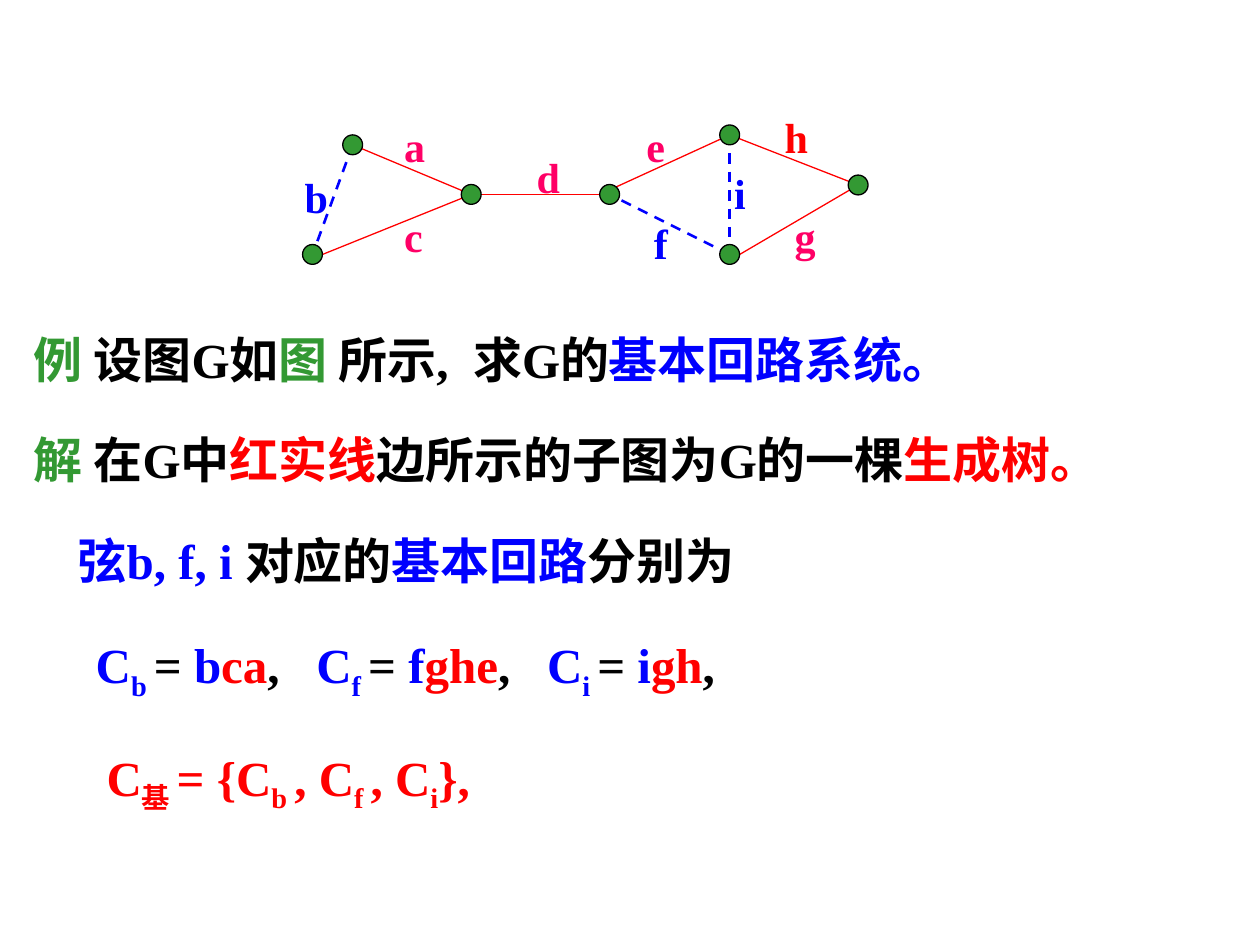
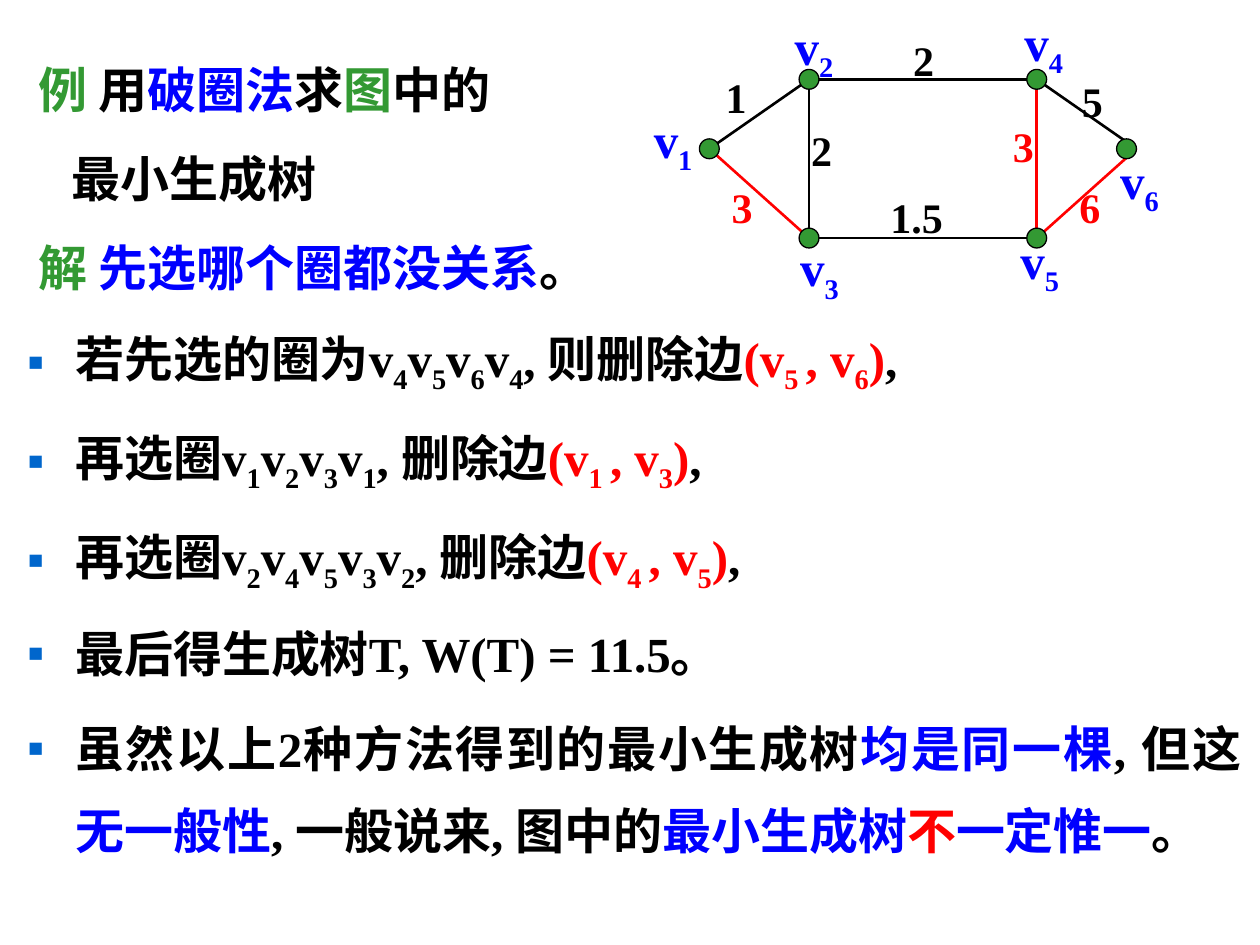
import pptx
import pptx.dml.color
import pptx.enum.dml
import pptx.enum.shapes
import pptx.enum.text
import pptx.oxml.ns
import pptx.util
from lxml import etree
from pptx.util import Cm

BLACK, RED, BLUE, GREEN, PINK = "000000", "FF0000", "0000FF", "339933", "FF0066"
BULLET_BLUE = "0066CC"
LATIN_FONT, CHINESE_FONT = "Times New Roman", "Noto Sans CJK SC"
BODY_SIZE, LABEL_SIZE = 28, 24
NODE_RADIUS = 0.2
HANGING = 0.97
LEAD_INDENT = 0.23


def colour(hex_string):
    return pptx.dml.color.RGBColor.from_string(hex_string)


def add_xml(parent, tag, **attributes):
    return etree.SubElement(parent, pptx.oxml.ns.qn(tag), attributes)


class GraphDeck:
    def __init__(self):
        self.deck = pptx.Presentation()
        self.deck.slide_width, self.deck.slide_height = Cm(25.4), Cm(19.05)
        self.page = None

    def add_page(self):
        self.page = self.deck.slides.add_slide(self.deck.slide_layouts[6])

    def text_box(self, left, top, width, height, wrap=True):
        box = self.page.shapes.add_textbox(Cm(left), Cm(top), Cm(width), Cm(height))
        box.text_frame.word_wrap = wrap
        return box.text_frame

    def fill_para(self, para, spans, size):
        """Write (text, colour[, letter spacing in points]); a pair of ~ encloses a subscript."""
        font = para.font
        font.size, font.bold, font.name = pptx.util.Pt(size), True, LATIN_FONT
        add_xml(font._element, "a:ea", typeface=CHINESE_FONT)
        for text, span_colour, *spacing in spans:
            for index, piece in enumerate(text.split("~")):
                if not piece:
                    continue
                span = para.add_run()
                span.text = piece
                span.font.color.rgb = colour(span_colour)
                properties = span._r.get_or_add_rPr()
                if index % 2:
                    properties.set("baseline", "-25000")
                if spacing:
                    properties.set("spc", str(int(spacing[0] * 100)))

    def body(self, left, top, width, height, paras, spacing, justify=False):
        """Write paragraphs given as (first-line indent or None for a bullet, spans)."""
        frame = self.text_box(left, top, width, height)
        for index, (indent, spans) in enumerate(paras):
            para = frame.paragraphs[0] if index == 0 else frame.add_paragraph()
            para.line_spacing = spacing
            if index:
                para.space_before = pptx.util.Pt(7)
            if justify:
                para.alignment = pptx.enum.text.PP_ALIGN.JUSTIFY
            properties = para._p.get_or_add_pPr()
            bulleted = indent is None
            properties.set("marL", str(Cm(HANGING if bulleted else 0)))
            properties.set("indent", str(Cm(-HANGING if bulleted else indent)))
            if bulleted:
                bullet_colour = add_xml(properties, "a:buClr")
                add_xml(bullet_colour, "a:srgbClr", val=BULLET_BLUE)
                add_xml(properties, "a:buFont", typeface=LATIN_FONT)
                add_xml(properties, "a:buChar", char="▪")
            self.fill_para(para, spans, BODY_SIZE)
        return frame

    def label(self, text, left, top, width, text_colour, size=LABEL_SIZE):
        height = 1.27 if size == LABEL_SIZE else 1.6
        frame = self.text_box(left, top, width, height, wrap=False)
        self.fill_para(frame.paragraphs[0], [(text, text_colour)], size)

    def edge(self, start, end, line_colour, width, dashed=False):
        line = self.page.shapes.add_connector(
            pptx.enum.shapes.MSO_CONNECTOR.STRAIGHT, *map(Cm, start + end))
        line.line.color.rgb = colour(line_colour)
        line.line.width = pptx.util.Pt(width)
        if dashed:
            line.line.dash_style = pptx.enum.dml.MSO_LINE.DASH
        add_xml(line._element.spPr, "a:effectLst")

    def node(self, x, y):
        dot = self.page.shapes.add_shape(
            pptx.enum.shapes.MSO_SHAPE.OVAL, Cm(x - NODE_RADIUS), Cm(y - NODE_RADIUS),
            Cm(2 * NODE_RADIUS), Cm(2 * NODE_RADIUS))
        dot.shadow.inherit = False
        dot.fill.solid()
        dot.fill.fore_color.rgb = colour(GREEN)
        dot.line.color.rgb = colour(BLACK)
        dot.line.width = pptx.util.Pt(0.75)

    def graph(self, nodes, edges):
        """Draw edges under nodes; an end name with < or > meets the left or right rim."""
        def point(name):
            x, y = nodes[name.rstrip("<>")]
            return x + NODE_RADIUS * (name.endswith(">") - name.endswith("<")), y

        for start, end, *style in edges:
            self.edge(point(start), point(end), *style)
        for x, y in nodes.values():
            self.node(x, y)


def add_circuit_page(slides):
    slides.add_page()
    wide_comma = (", ", BLACK, 7)
    slides.body(0.2, 5.92, 24.9, 12.8, [
        (LEAD_INDENT, [("例 ", GREEN), ("设图G如", BLACK), ("图 ", GREEN), ("所示", BLACK),
                       (", ", BLACK, 3.5), ("求G的", BLACK), ("基本回路系统。", BLUE)]),
        (LEAD_INDENT, [("解 ", GREEN), ("在G中", BLACK), ("红实线", RED),
                       ("边所示的子图为G的一棵", BLACK), ("生成树。", RED)]),
        (1.12, [("弦b, f, i ", BLUE), ("对应的", BLACK), ("基本回路", BLUE),
                ("分别为", BLACK)]),
        (1.48, [("C~b ~", BLUE), ("= ", BLACK), ("b", BLUE), ("ca", RED), wide_comma,
                ("C~f ~", BLUE), ("= ", BLACK), ("f", BLUE), ("ghe", RED), wide_comma,
                ("C~i ~", BLUE), ("= ", BLACK), ("i", BLUE), ("gh", RED), (",", BLACK)]),
        (1.7, [("C~基 ~= {C~b ~, C~f ~, C~i~},", RED)]),
    ], spacing=1.5)

    tree, chord = (RED, 0.75), (BLUE, 1.5, True)
    slides.graph(
        {"top left": (7.11, 2.92), "bottom left": (6.3, 5.13), "bridge start": (9.5, 3.92),
         "bridge end": (12.29, 3.92), "top": (14.71, 2.72), "bottom": (14.71, 5.13),
         "right": (17.3, 3.73)},
        [("top left", "bridge start", *tree),
         ("bridge start", "bottom left>", *tree),
         ("top left", "bottom left", *chord),
         ("bridge start", "bridge end<", *tree),
         ("bridge end<", "top", *tree),
         ("top", "right", *tree),
         ("right", "bottom>", *tree),
         ("bottom", "bridge end", *chord),
         ("top", "bottom", *chord)])
    for name, left, top, text_colour in [
            ("f", 12.93, 4.27, BLUE), ("i", 14.55, 3.25, BLUE), ("b", 5.89, 3.33, BLUE),
            ("a", 7.9, 2.31, PINK), ("d", 10.57, 2.92, PINK), ("c", 7.9, 4.11, PINK),
            ("e", 12.78, 2.31, PINK), ("h", 15.57, 2.13, RED), ("g", 15.77, 4.11, PINK)]:
        slides.label(name, left, top, 1, text_colour)


def add_spanning_tree_page(slides):
    def removal(circuit_lead, circuit, deletion, start, end):
        vertices = "".join(f"v~{number}~" for number in circuit)
        return (None, [(f"{circuit_lead}{vertices}, {deletion}", BLACK),
                       (f"(v~{start} ~, v~{end}~)", RED), (",", BLACK)])

    slides.add_page()
    frame = slides.body(0.3, 0.73, 24.97, 17.93, [
        (LEAD_INDENT, [("例 ", GREEN), ("用", BLACK), ("破圈法", BLUE), ("求", BLACK),
                       ("图", GREEN), ("中的", BLACK)]),
        (0.9, [("最小生成树", BLACK)]),
        (LEAD_INDENT, [("解 ", GREEN), ("先选哪个圈都没关系", BLUE), ("。", BLACK)]),
        removal("若先选的圈为", "4564", "则删除边", 5, 6),
        removal("再选圈", "1231", "删除边", 1, 3),
        removal("再选圈", "24532", "删除边", 4, 5),
        (None, [("最后得生成树T, W(T) = 11.5。", BLACK)]),
        (None, [("虽然以上2种方法得到的最小生成树", BLACK), ("均是同一棵", BLUE),
                (", 但这", BLACK), ("无一般性", BLUE), (", 一般说来, 图中的", BLACK),
                ("最小生成树", BLUE), ("不", RED), ("一定惟一", BLUE), ("。", BLACK)]),
    ], spacing=1.3, justify=True)
    frame.paragraphs[-1].line_spacing = 1.4

    kept, removed = (BLACK, 1.5), (RED, 1.5)
    slides.graph(
        {"v1": (14.3, 3), "v2": (16.31, 1.6), "v3": (16.31, 4.8),
         "v4": (20.9, 1.6), "v5": (20.9, 4.8), "v6": (22.71, 3)},
        [("v2", "v4", *kept), ("v2", "v3", *kept), ("v3", "v5", *kept),
         ("v4", "v5", *removed), ("v2", "v1", *kept), ("v3", "v1", *removed),
         ("v4", "v6>", *kept), ("v5", "v6>", *removed)])
    for weight, left, top, text_colour in [
            ("1", 14.38, 1.32, BLACK), ("3", 14.5, 3.53, RED), ("2", 16.1, 2.39, BLACK),
            ("2", 18.16, 0.58, BLACK), ("3", 20.17, 2.31, RED), ("5", 21.56, 1.4, BLACK),
            ("6", 21.51, 3.53, RED), ("1.5", 17.7, 3.73, BLACK)]:
        slides.label(weight, left, top, 1 if len(weight) == 1 else 1.75, text_colour)
    for number, left, top in [(1, 12.93, 2.08), (3, 15.88, 4.67), (2, 15.77, 0.2),
                              (5, 20.32, 4.52), (4, 20.4, 0.13), (6, 22.33, 2.9)]:
        slides.label(f"v~{number}~", left, top, 1.5, BLUE, BODY_SIZE)


def main():
    slides = GraphDeck()
    add_circuit_page(slides)
    add_spanning_tree_page(slides)
    slides.deck.save("out.pptx")


if __name__ == "__main__":
    main()
